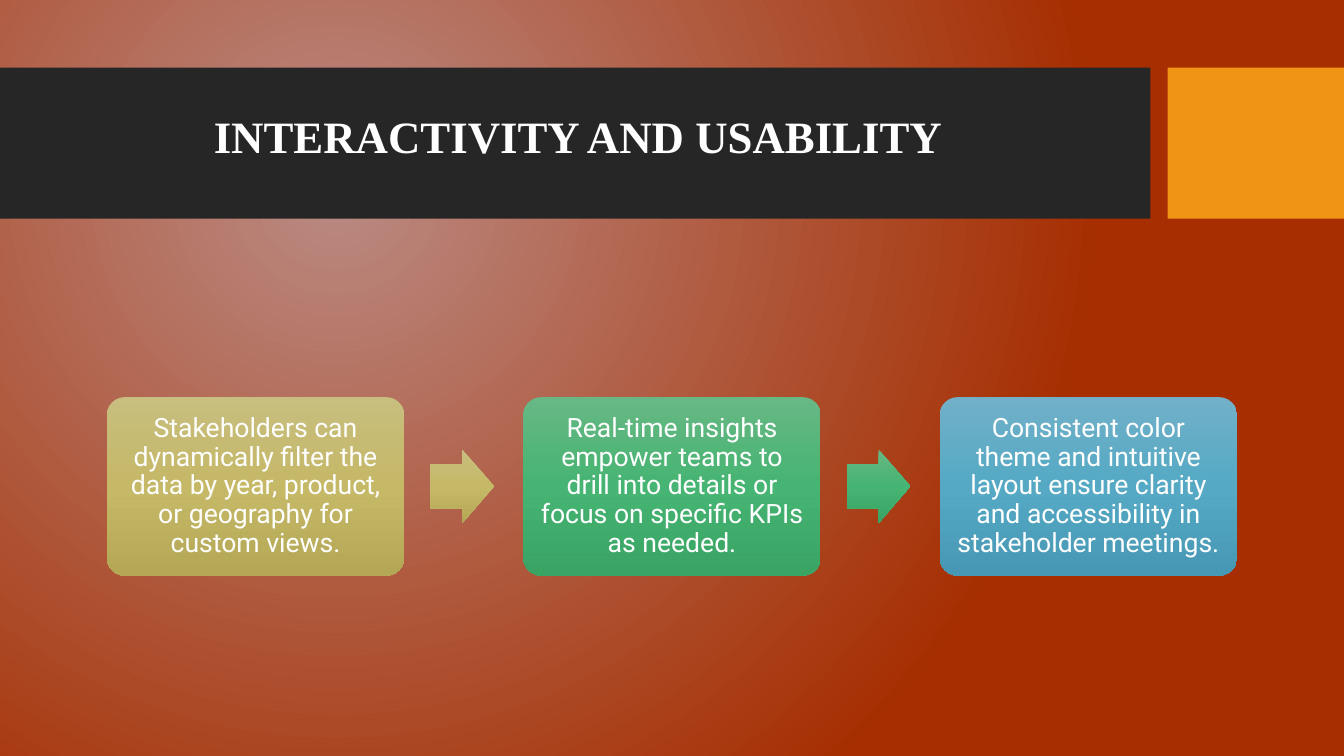
from lxml import etree
from pptx import Presentation
from pptx.dml.color import RGBColor
from pptx.enum import shapes, text
from pptx.oxml import ns
from pptx.util import Inches, Pt

WHITE = RGBColor(0xFF, 0xFF, 0xFF)
DARK = RGBColor(0x26, 0x26, 0x26)
ORANGE = RGBColor(0xF0, 0x94, 0x15)
GLOW = [RGBColor(0xBA, 0x8A, 0x83), RGBColor(0xA6, 0x2E, 0x00)]
OLIVE = [RGBColor(0xC8, 0xBE, 0x7F), RGBColor(0xC5, 0xB8, 0x67), RGBColor(0xB4, 0xA7, 0x56)]
GREEN = [RGBColor(0x67, 0xB8, 0x84), RGBColor(0x46, 0xB4, 0x72), RGBColor(0x3A, 0xA4, 0x64)]
BLUE = [RGBColor(0x71, 0xB0, 0xC8), RGBColor(0x55, 0xA9, 0xC5), RGBColor(0x47, 0x98, 0xB4)]

STEPS = [
    ("Stakeholders can dynamically filter the data by year, product, "
     "or geography for custom views.", OLIVE),
    ("Real-time insights empower teams to drill into details or "
     "focus on specific KPIs as needed.", GREEN),
    ("Consistent color theme and intuitive layout ensure clarity "
     "and accessibility in stakeholder meetings.", BLUE),
]
LEFT, TOP, PITCH = 1.06, 3.94, 4.13
CARD_W, CARD_H = 2.95, 1.77
ARROW_W, ARROW_H, ARROW_DX = 0.63, 0.73, 3.21


def add_tag(parent, tag, **attrs):
    return etree.SubElement(parent, ns.qn(tag), attrs)


def blend(fill, owner, colors, radial=False):
    """Spread colors evenly, from top to bottom or out from the upper left."""
    fill.gradient()
    grad = next(owner.iter(ns.qn("a:gradFill")))
    for child in list(grad):
        grad.remove(child)
    stops = add_tag(grad, "a:gsLst")
    for i, color in enumerate(colors):
        stop = add_tag(stops, "a:gs", pos=str(100000 * i // (len(colors) - 1)))
        add_tag(stop, "a:srgbClr", val=str(color))
    if radial:
        shade = add_tag(grad, "a:path", path="circle")
        add_tag(shade, "a:fillToRect", l="50000", t="50000", r="100000", b="100000")
    else:
        add_tag(grad, "a:lin", ang="5400000", scaled="0")


def add_block(slide, kind, x, y, w, h):
    block = slide.shapes.add_shape(kind, Inches(x), Inches(y), Inches(w), Inches(h))
    block.shadow.inherit = False
    block.line.fill.background()
    return block


def add_band(slide, x, w, color):
    band = add_block(slide, shapes.MSO_SHAPE.RECTANGLE, x, 0.67, w, 1.5)
    band.fill.solid()
    band.fill.fore_color.rgb = color


def write(frame, words, font, size, align, bold=False):
    frame.word_wrap = True
    frame.vertical_anchor = text.MSO_ANCHOR.MIDDLE
    para = frame.paragraphs[0]
    para.alignment = align
    para.line_spacing = 0.9
    run = para.add_run()
    run.text = words
    run.font.name = font
    run.font.size = Pt(size)
    run.font.bold = bold
    run.font.color.rgb = WHITE


def set_title(slide, words):
    title = slide.shapes.title
    title.left, title.top = Inches(2.02), Inches(0.68)
    title.width, title.height = Inches(10.26), Inches(1.4)
    write(title.text_frame, words, "Times New Roman", 32, text.PP_ALIGN.LEFT, True)
    # Bring the title in front of the bands
    slide.shapes.element.append(title.element)


def add_card(slide, x, words, colors):
    card = add_block(slide, shapes.MSO_SHAPE.ROUNDED_RECTANGLE, x, TOP, CARD_W, CARD_H)
    card.adjustments[0] = 0.1
    blend(card.fill, card.element, colors)
    frame = card.text_frame
    frame.margin_left = frame.margin_right = Inches(0.08)
    frame.margin_top = frame.margin_bottom = Inches(0.08)
    write(frame, words, "Roboto", 19, text.PP_ALIGN.CENTER)


def add_arrow(slide, x, colors):
    y = TOP + (CARD_H - ARROW_H) / 2
    arrow = add_block(slide, shapes.MSO_SHAPE.RIGHT_ARROW, x, y, ARROW_W, ARROW_H)
    arrow.adjustments[0] = 0.6
    arrow.adjustments[1] = 0.5
    blend(arrow.fill, arrow.element, colors)


def main():
    deck = Presentation()
    deck.slide_width, deck.slide_height = Inches(13.33), Inches(7.5)
    slide = deck.slides.add_slide(deck.slide_layouts[5])
    blend(slide.background.fill, slide.element, GLOW, radial=True)
    add_band(slide, 0, 11.41, DARK)
    add_band(slide, 11.58, 1.75, ORANGE)
    set_title(slide, "INTERACTIVITY AND USABILITY")
    for i, (words, colors) in enumerate(STEPS):
        x = LEFT + i * PITCH
        add_card(slide, x, words, colors)
        if i < len(STEPS) - 1:
            add_arrow(slide, x + ARROW_DX, colors)
    deck.save("out.pptx")


if __name__ == "__main__":
    main()
